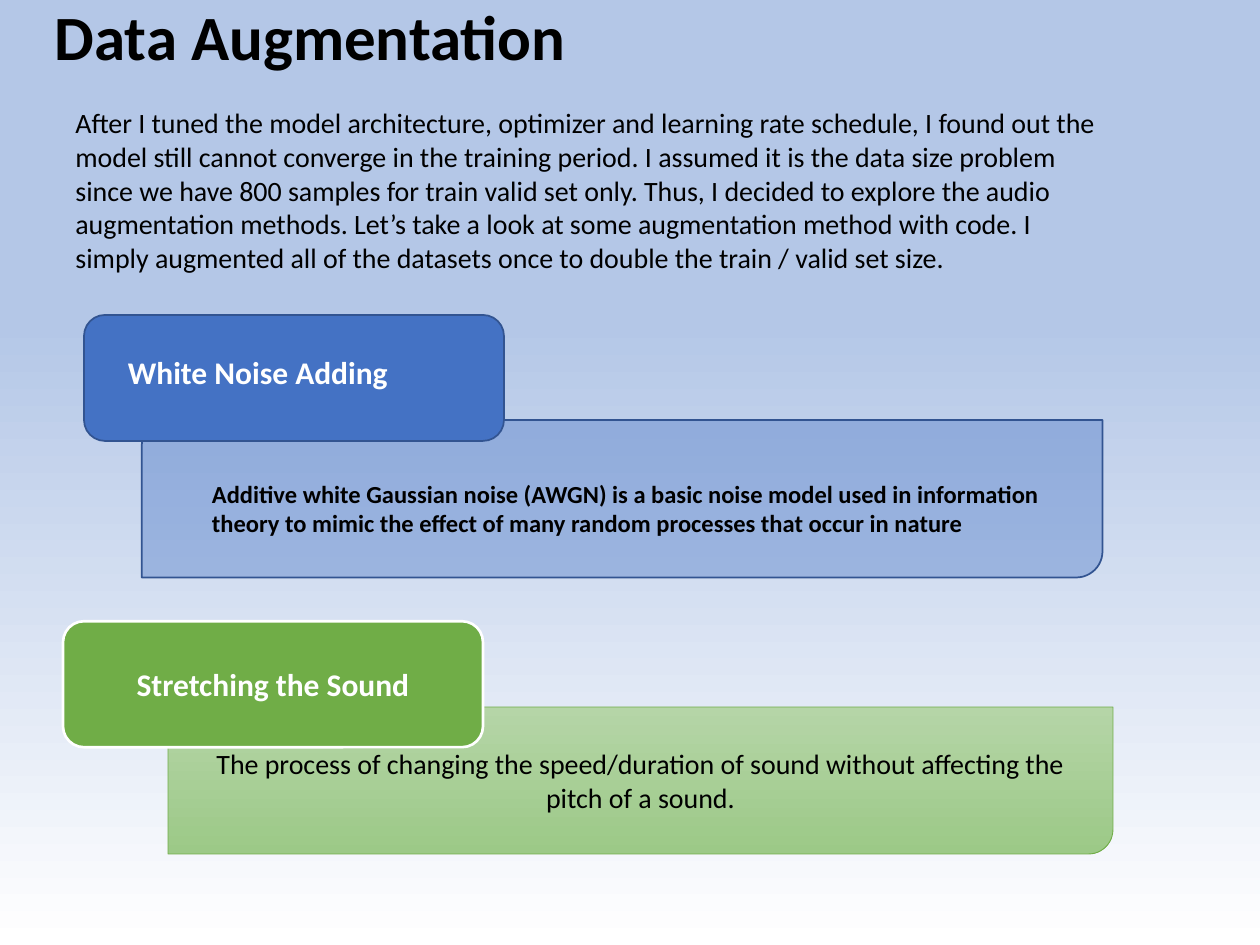
from lxml import etree
from pptx import Presentation
from pptx.dml.color import RGBColor
from pptx.enum.shapes import MSO_SHAPE
from pptx.enum.text import MSO_ANCHOR, PP_ALIGN
from pptx.oxml.ns import qn
from pptx.util import Pt

TAB, PANEL = MSO_SHAPE.FLOWCHART_ALTERNATE_PROCESS, MSO_SHAPE.ROUND_2_DIAG_RECTANGLE
LEFT, CENTER = PP_ALIGN.LEFT, PP_ALIGN.CENTER
TOP, MIDDLE = MSO_ANCHOR.TOP, MSO_ANCHOR.MIDDLE

BLACK = RGBColor(0, 0, 0)
WHITE = RGBColor(255, 255, 255)
SKY = RGBColor(0xB4, 0xC7, 0xE7)
BLUE = RGBColor(0x44, 0x72, 0xC4)
NAVY = RGBColor(0x32, 0x54, 0x91)
GREEN = RGBColor(0x70, 0xAD, 0x47)
PALE_GREEN = RGBColor(0xB5, 0xD5, 0xA7)
SOFT_GREEN = RGBColor(0x9C, 0xC9, 0x87)
FONT = "Calibri"

TITLE = "Data Augmentation"
INTRO = (
    "After I tuned the model architecture, optimizer and learning rate schedule, "
    "I found out the model still cannot converge in the training period. "
    "I assumed it is the data size problem since we have 800 samples for train valid set only. "
    "Thus, I decided to explore the audio augmentation methods. "
    "Let’s take a look at some augmentation method with code. "
    "I simply augmented all of the datasets once to double the train / valid set size."
)
NOISE = "White Noise Adding"
NOISE_TEXT = (
    "Additive white Gaussian noise (AWGN) is a basic noise model used in information "
    "theory to mimic the effect of many random processes that occur in nature"
)
STRETCH = "Stretching the Sound"
STRETCH_TEXT = (
    "The process of changing the speed/duration of sound without affecting the pitch of a sound."
)


def write(sp, text, size, color=BLACK, bold=False, align=LEFT, anchor=TOP):
    tf = sp.text_frame
    tf.word_wrap = True
    tf.vertical_anchor = anchor
    p = tf.paragraphs[0]
    p.alignment = align
    r = p.add_run()
    r.text = text
    r.font.name, r.font.size, r.font.bold = FONT, Pt(size), bold
    r.font.color.rgb = color
    return p


def shade(fill, top, bottom, start=0):
    fill.gradient()
    fill.gradient_angle = 270
    for stop, color, pos in zip(fill.gradient_stops, (top, bottom), (start, 1)):
        stop.color.rgb = color
        stop.position = pos


def add_box(s, kind, box, line, width, fill=None):
    sp = s.shapes.add_shape(kind, *map(Pt, box))
    sp.shadow.inherit = False
    sp.line.color.rgb = line
    sp.line.width = Pt(width)
    if fill is not None:
        sp.fill.solid()
        sp.fill.fore_color.rgb = fill
    return sp


def add_text(s, box, text, size, **style):
    write(s.shapes.add_textbox(*map(Pt, box)), text, size, **style)


prs = Presentation()
prs.slide_width, prs.slide_height = Pt(720), Pt(540)
s = prs.slides.add_slide(prs.slide_layouts[5])
shade(s.background.fill, SKY, WHITE, 0.34)

title = s.shapes.title
title.left, title.top, title.width, title.height = map(Pt, (24, 0, 660, 46))
write(title, TITLE, 36, bold=True, anchor=MIDDLE).line_spacing = 0.9

panel = add_box(s, PANEL, (81, 240, 549, 90), NAVY, 1, BLUE)
color = panel.fill._xPr.find(qn("a:solidFill"))[0]
etree.SubElement(color, qn("a:alpha"), val="38000")
add_box(s, TAB, (48, 180, 240, 72), NAVY, 1, BLUE)
add_text(s, (66, 198, 210, 30), NOISE, 18, color=WHITE, bold=True)
add_text(s, (114, 270, 492, 41), NOISE_TEXT, 14, bold=True)

panel = add_box(s, PANEL, (96, 404, 540, 84), GREEN, 0.5)
shade(panel.fill, PALE_GREEN, SOFT_GREEN)
write(panel, STRETCH_TEXT, 16, align=CENTER, anchor=MIDDLE)
tab = add_box(s, TAB, (36, 355, 240, 72), WHITE, 1.5, GREEN)
write(tab, STRETCH, 18, WHITE, True, CENTER, MIDDLE)

add_text(s, (36, 57, 600, 104), INTRO, 16)

prs.save("out.pptx")
